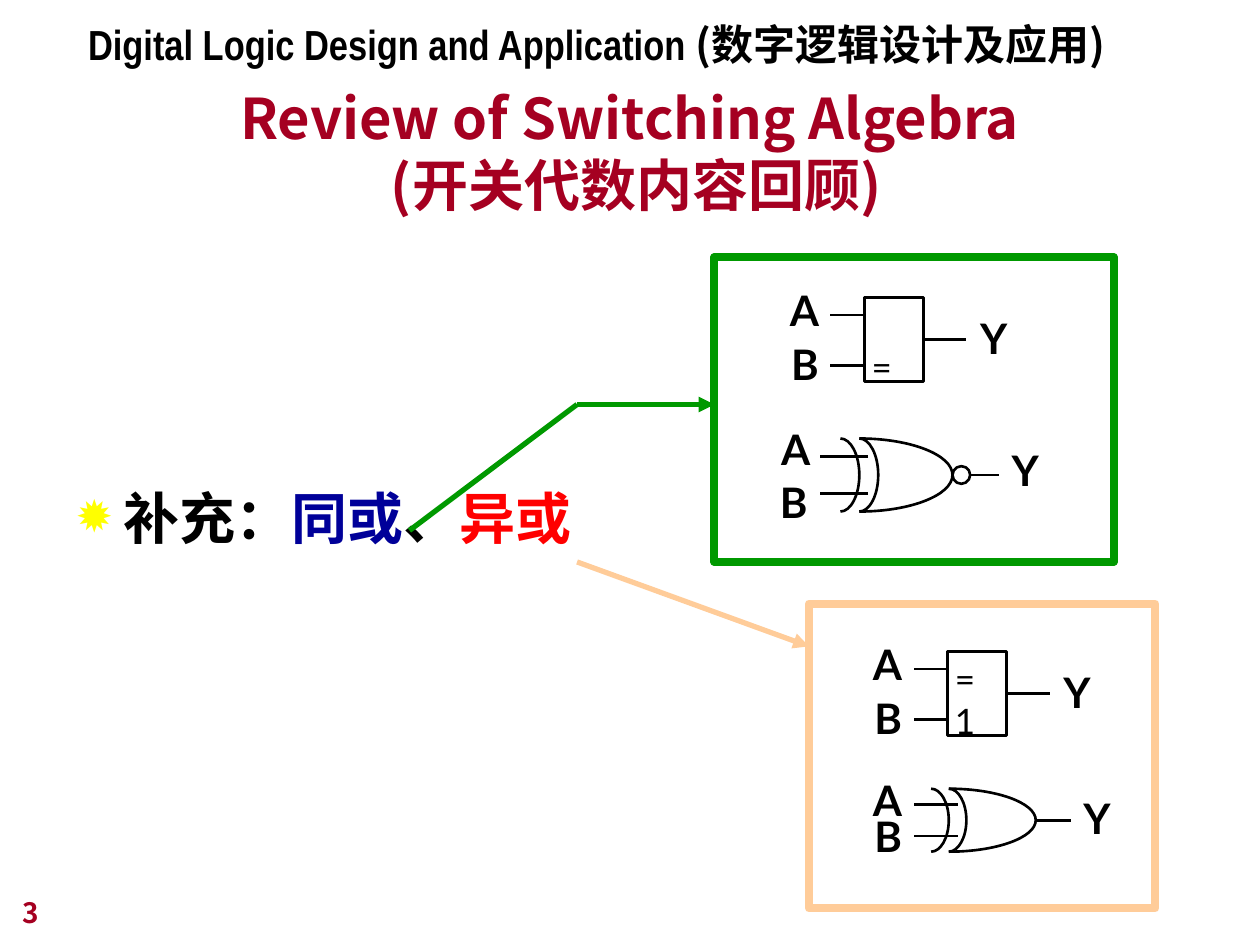
from pptx import Presentation
from pptx.dml.color import RGBColor
from pptx.enum.shapes import MSO_CONNECTOR, MSO_SHAPE
from pptx.enum.text import MSO_ANCHOR, MSO_AUTO_SIZE, PP_ALIGN
from pptx.oxml.ns import qn
from pptx.util import Inches, Pt
from lxml import etree

BLACK = RGBColor(0x00, 0x00, 0x00)
CRIMSON = RGBColor(0xA5, 0x00, 0x21)
NAVY = RGBColor(0x00, 0x00, 0x99)
RED = RGBColor(0xFF, 0x00, 0x00)
GREEN = RGBColor(0x00, 0x99, 0x00)
PEACH = RGBColor(0xFF, 0xCC, 0x99)
YELLOW = RGBColor(0xFF, 0xFF, 0x00)
CJK, NARROW, LATIN, LABEL = "Noto Sans CJK JP", "Arial Narrow", "Arial", "Lato"
STRAIGHT = MSO_CONNECTOR.STRAIGHT
RECT, OVAL = MSO_SHAPE.RECTANGLE, MSO_SHAPE.OVAL
TOP, BOTTOM = MSO_ANCHOR.TOP, MSO_ANCHOR.BOTTOM
LEFT, CENTER = PP_ALIGN.LEFT, PP_ALIGN.CENTER
NO_FIT = MSO_AUTO_SIZE.NONE
COLUMNS, ROWS = 100, 75
RIGHT_SIDE = 3
ROUNDNESS = 0.55


class LogicSlide:
    def __init__(self, prs):
        self.s = prs.slides.add_slide(prs.slide_layouts[1])
        self.col = prs.slide_width / COLUMNS
        self.row = prs.slide_height / ROWS

    def point(self, x, y):
        return round(x * self.col), round(y * self.row)

    def place(self, sp, x, y, w, h):
        sp.left, sp.top = self.point(x, y)
        sp.width, sp.height = self.point(w, h)

    def font(self, r, face, size, color, bold=True):
        r.font.name, r.font.size, r.font.bold = face, Pt(size), bold
        r.font.color.rgb = color
        etree.SubElement(r.font._element, qn("a:ea")).set("typeface", CJK)

    def fill_text(self, tf, runs, size, align=LEFT, anchor=TOP, wrap=True, bold=True):
        tf.auto_size, tf.word_wrap, tf.vertical_anchor = NO_FIT, wrap, anchor
        p = tf.paragraphs[0]
        p.alignment = align
        for text, face, color in runs:
            r = p.add_run()
            r.text = text
            self.font(r, face, size, color, bold)
        return p

    def title(self, lines, box):
        sp = self.s.shapes.title
        self.place(sp, *box)
        tf = sp.text_frame
        tf.text = "\v".join(lines)
        p = self.fill_text(tf, [], 32, CENTER, BOTTOM)
        for r in p.runs:
            self.font(r, CJK, 32, CRIMSON)

    def bullet(self, runs, box, inset):
        sp = self.s.placeholders[1]
        self.place(sp, *box)
        tf = sp.text_frame
        tf.margin_top = round(inset * self.row)
        pPr = tf.paragraphs[0]._p.get_or_add_pPr()
        pPr.set("marL", str(Inches(0.38)))
        pPr.set("indent", str(-Inches(0.38)))
        color = etree.SubElement(pPr, qn("a:buClr"))
        etree.SubElement(color, qn("a:srgbClr")).set("val", str(YELLOW))
        etree.SubElement(pPr, qn("a:buSzPct")).set("val", "80000")
        etree.SubElement(pPr, qn("a:buChar")).set("char", "✹")
        p = self.fill_text(tf, runs, 32)
        p.space_before = Pt(0)

    def text(self, runs, box, size, **style):
        sp = self.s.shapes.add_textbox(0, 0, 0, 0)
        self.place(sp, *box)
        self.fill_text(sp.text_frame, runs, size, **style)

    def label(self, letter, x, y):
        self.text([(letter, LABEL, BLACK)], (x, y, 4.2, 5), 24, wrap=False)

    def stroke(self, sp, color=BLACK, width=1.5):
        sp.shadow.inherit = False
        sp.fill.background()
        sp.line.color.rgb, sp.line.width = color, Pt(width)

    def outline(self, kind, box, color=BLACK, width=1.5):
        sp = self.s.shapes.add_shape(kind, 0, 0, 0, 0)
        self.place(sp, *box)
        self.stroke(sp, color, width)
        return sp

    def line(self, start, end, color=BLACK, width=1.5, arrow=False):
        c = self.s.shapes.add_connector(STRAIGHT, *self.point(*start), *self.point(*end))
        c.line.color.rgb, c.line.width = color, Pt(width)
        if arrow:
            etree.SubElement(c.line._get_or_add_ln(), qn("a:tailEnd")).set("type", "triangle")
        etree.SubElement(c._element.spPr, qn("a:effectLst"))
        return c

    def arc(self, x, y, w, h):
        builder = self.s.shapes.build_freeform(*self.point(x, y))
        builder.add_line_segments([self.point(x + w, y + h / 2), self.point(x, y + h)], close=False)
        sp = builder.convert_to_shape()
        self.stroke(sp)
        k = ROUNDNESS
        curves = [[(k, 0), (1, (1 - k) / 2), (1, 0.5)], [(1, (1 + k) / 2), (k, 1), (0, 1)]]
        for segment, curve in zip(list(sp._element.iter(qn("a:lnTo"))), curves):
            bezier = etree.Element(qn("a:cubicBezTo"))
            for across, down in curve:
                pt = etree.SubElement(bezier, qn("a:pt"))
                pt.set("x", str(round(across * sp.width)))
                pt.set("y", str(round(down * sp.height)))
            segment.getparent().replace(segment, bezier)

    def block_symbol(self, x, y, mark):
        body = self.outline(RECT, (x, y, 4.7, 6.7))
        output = self.line((x + 4.7, y + 3.35), (x + 8.1, y + 3.35))
        output.begin_connect(body, RIGHT_SIDE)
        for dy in (1.4, 5.4):
            self.line((x, y + dy), (x - 2.7, y + dy))
        self.text([(mark, LABEL, BLACK)], (x - 0.4, y, 4.1, 4.4), 20, bold=False)
        for letter, dx, dy in (("A", -6.9, -1.5), ("B", -6.8, 2.8), ("Y", 8.2, 0.7)):
            self.label(letter, x + dx, y + dy)

    def gate(self, x, y, w, h, gap, lead, output, bubble=0):
        self.arc(x, y, w, h)
        self.arc(x, y, gap, h)
        self.arc(x - gap, y, gap, h)
        for share in (0.25, 0.75):
            self.line((x + 0.7, y + share * h), (x - lead, y + share * h))
        middle, tip = y + h / 2, x + w
        if bubble:
            self.outline(OVAL, (tip, middle - bubble / 2, bubble, bubble))
        self.line((tip + bubble, middle), (output, middle))


def main():
    prs = Presentation()
    prs.slide_width, prs.slide_height = Inches(10), Inches(7.5)
    slide = LogicSlide(prs)

    slide.title(["Review of Switching Algebra", " (开关代数内容回顾)"], (7.5, 2.8, 85, 15))
    slide.bullet([("补充：", LATIN, BLACK), ("同或", LATIN, NAVY),
                  ("、", LATIN, BLACK), ("异或", LATIN, RED)], (5, 19.6, 90, 53.3), 18.8)

    slide.block_symbol(68.6, 23.6, " =")
    slide.gate(68.2, 34.8, 7.4, 5.8, 1.5, 3.1, 79.3, bubble=1.4)
    for letter, x, y in (("A", 61, 33.1), ("B", 60.9, 37.3), ("Y", 79.3, 34.8)):
        slide.label(letter, x, y)
    slide.line((32.5, 42.1), (45.8, 32.1), GREEN, 3)
    slide.line((45.8, 32.1), (56.7, 32.1), GREEN, 3, arrow=True)
    slide.outline(RECT, (56.7, 20.4, 31.7, 24.2), GREEN, 4.5)

    slide.block_symbol(75.2, 51.7, "=1")
    slide.gate(75.3, 62.6, 6.9, 5, 1.4, 2.8, 85)
    for letter, x, y in (("A", 68.3, 61), ("B", 68.4, 63.8), ("Y", 85, 62.4)):
        slide.label(letter, x, y)
    slide.outline(RECT, (64.2, 47.9, 27.5, 24.2), PEACH, 4.5)
    slide.line((45.8, 44.6), (64.2, 51.3), PEACH, 3, arrow=True)

    slide.text([("Digital Logic Design and Application ", NARROW, BLACK),
                ("(数字逻辑设计及应用)", CJK, BLACK)], (6, 1, 84.1, 5), 24)
    slide.text([("3", CJK, CRIMSON)], (0.8, 69.2, 20.8, 5), 16, anchor=BOTTOM)
    prs.save("out.pptx")


if __name__ == "__main__":
    main()
